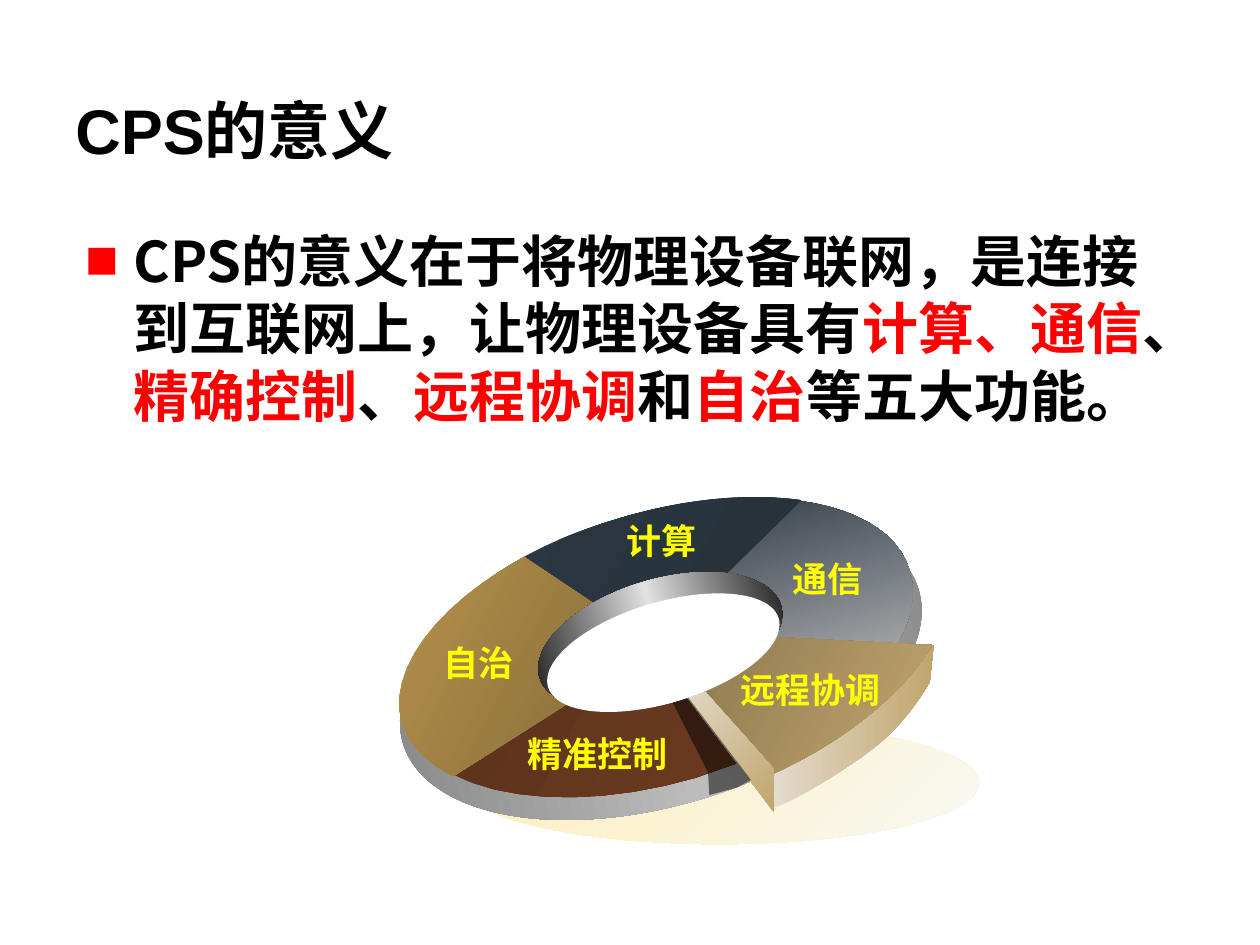
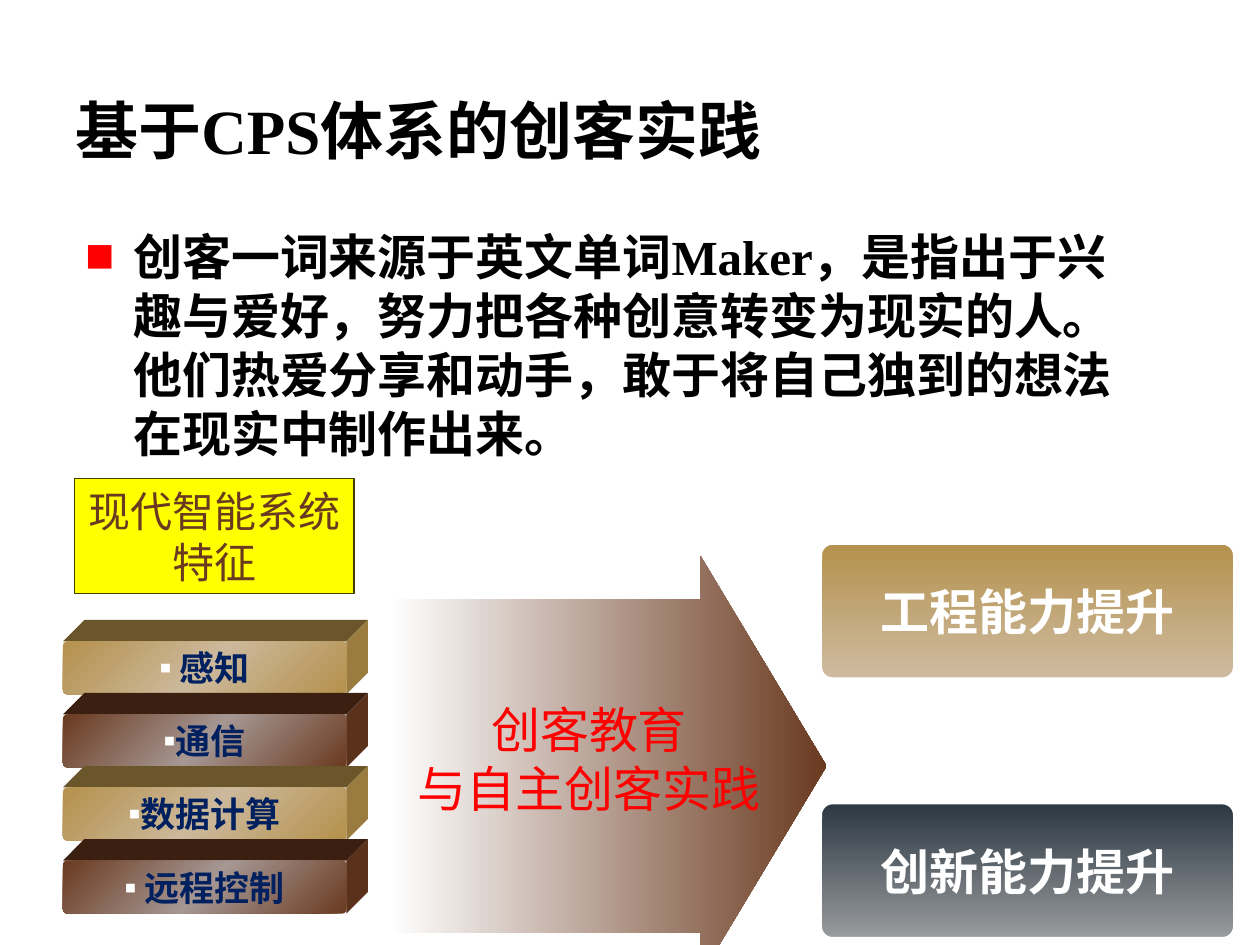
from dataclasses import dataclass
from typing import NamedTuple

from lxml import etree
from pptx import Presentation
from pptx.dml.color import RGBColor
from pptx.enum.shapes import MSO_SHAPE
from pptx.enum.text import MSO_ANCHOR, PP_ALIGN
from pptx.oxml.ns import nsdecls, qn
from pptx.oxml import parse_xml
from pptx.util import Inches, Pt

OVAL = MSO_SHAPE.OVAL
RECTANGLE = MSO_SHAPE.RECTANGLE
ROUNDED = MSO_SHAPE.ROUNDED_RECTANGLE
ARROW = MSO_SHAPE.RIGHT_ARROW
LEFT, CENTER = PP_ALIGN.LEFT, PP_ALIGN.CENTER
TOP, MIDDLE = MSO_ANCHOR.TOP, MSO_ANCHOR.MIDDLE

CJK_FONT = "Noto Sans CJK SC"
TITLE_AREA = (0.5, 0.5, 9, 1.05)
BODY_AREA = (0.58, 1.75, 8.67, 4.95)
RING_TILT = -16.6
LINE_RATIO = 1.2
CURVE_STEPS = 12

COLORS = {
    "black": "000000", "white": "FFFFFF", "red": "FF0000", "yellow": "FFFF00",
    "navy": "002060", "olive": "404000", "gold": "B4914C", "gold_pale": "CCB89B",
    "gold_soft": "CEBBA1", "gold_deep": "816836", "gold_top": "6B562B",
    "gold_side": "9A7C41", "brown": "6A3A20", "brown_pale": "A69793",
    "brown_deep": "5B321B", "brown_top": "3B2012", "brown_side": "5A311B",
    "slate": "2B3742", "slate_deep": "253039", "slate_pale": "A7A8AA",
    "slate_soft": "9A9C9E", "gray": "808080", "silver": "BCBCBC",
    "shine": "E2E2E2", "blue": "2791BB", "cream": "FFEDB9", "mist": "F7F9F2",
    "sand": "E5DCCE", "tan": "C1A56D", "tan_deep": "8A764E",
}

Area = tuple[float, float, float, float]
Point = tuple[float, float]


class Paint(NamedTuple):
    colors: tuple[str, ...]
    angle: float = 0
    alpha: int = 100


class Bullet(NamedTuple):
    mark: str
    color: str
    font: str
    percent: int = 100
    indent: float = 0


@dataclass
class Disc:
    area: Area
    paint: Paint
    rotation: float = RING_TILT


@dataclass
class Outline:
    paint: Paint
    corners: list[Point]
    curve: list[Point]


@dataclass
class Label:
    text: str
    area: Area


@dataclass
class Slab:
    text: str
    tone: str


@dataclass
class Goal:
    text: str
    top: float
    paint: Paint


BODY_BULLET = Bullet("■", "red", CJK_FONT, 60, 0.38)
SLAB_BULLET = Bullet("▪", "white", "Arial")

MEANING = [
    ("CPS的意义在于将物理设备联网，是连接到互联网上，让物理设备具有", "black"),
    ("计算、通信", "red"), ("、", "black"), ("精确控制", "red"), ("、", "black"),
    ("远程协调", "red"), ("和", "black"), ("自治", "red"), ("等五大功能。", "black"),
]
MAKER = (
    "创客一词来源于英文单词Maker，是指出于兴趣与爱好，努力把各种创意转变为现实的人。"
    "他们热爱分享和动手，敢于将自己独到的想法在现实中制作出来。"
)

RING_BASE = [
    Disc((3.65, 5.73, 4.12, 0.97), Paint(("cream", "mist"), 45), 0),
    Disc((3.11, 4.19, 4.27, 2.2), Paint(("gray", "silver", "gray"))),
    Disc((3.16, 4.07, 4.12, 2.13), Paint(("blue", "black"), 45)),
]
RING_INNER = Disc((4.24, 4.6, 2, 0.98), Paint(("black", "shine", "black")))
RING_HOLE = Disc((4.31, 4.78, 1.91, 0.8), Paint(("white",)))
RING_PARTS = [
    Outline(Paint(("slate", "slate_pale"), 73), [(5.2, 5.13)],
            [(6.2, 3.96), (6.75, 4), (7.13, 4.21), (7.22, 4.53),
             (7.28, 4.73), (7.23, 4.96), (7.06, 5.2)]),
    Outline(Paint(("brown_deep", "brown"), 28), [(5.22, 5.14)],
            [(3.27, 5.85), (3.54, 6.33), (4.51, 6.47), (5.53, 6.17),
             (5.64, 6.13), (5.76, 6.09), (5.87, 6.05)]),
    Outline(Paint(("slate", "slate_deep"), 28), [(5.2, 5.11)],
            [(4.02, 4.5), (4.28, 4.34), (4.58, 4.21), (4.9, 4.12),
             (5.41, 3.96), (5.93, 3.91), (6.36, 3.97)]),
    Outline(Paint(("gold", "gold_deep"), 28), [(5.22, 5.13)],
            [(4.16, 4.42), (3.45, 4.81), (3.07, 5.33), (3.19, 5.74),
             (3.25, 5.91), (3.39, 6.06), (3.6, 6.16)]),
    Outline(Paint(("sand", "tan")), [(6.12, 6.15), (7.41, 5.12)],
            [(7.38, 5.41), (7.3, 5.55), (7.15, 5.77), (6.94, 5.93),
             (6.73, 6.1), (6.27, 6.38), (6.13, 6.41),
             (6.11, 6.32), (6.12, 6.15), (6.12, 6.15)]),
    Outline(Paint(("tan_deep", "tan"), 28), [(5.25, 5.01)],
            [(7.4, 5.12), (7.15, 5.53), (6.66, 5.92), (6.05, 6.18)]),
]
CUT_FACE = [(6.14, 6.1), (6.14, 6.44), (5.38, 5.44), (5.49, 5.37)]
CUT_SHADOW = [(5.32, 5.54), (5.62, 6.13), (5.63, 6.31), (5.85, 6.25),
              (5.96, 6.19), (5.45, 5.52)]
RING_LABELS = [
    Label("自治", (3.42, 5.04, 0.76, 0.44)),
    Label("计算", (4.87, 4.07, 0.76, 0.44)),
    Label("通信", (6.19, 4.37, 0.76, 0.44)),
    Label("远程协调", (5.77, 5.25, 1.32, 0.44)),
    Label("精准控制", (4.08, 5.76, 1.32, 0.44)),
]

SLABS = [Slab(" 感知", "gold"), Slab("通信", "brown"),
         Slab("数据计算", "gold"), Slab(" 远程控制", "brown")]
SLAB_LEFT, SLAB_TOP, SLAB_PITCH = 0.5, 5.09, 0.58
SLAB_WIDTH, SLAB_HEIGHT, SLAB_DEPTH = 2.25, 0.42, 0.17
GOALS = [
    Goal("工程能力提升", 4.31, Paint(("gold", "gold_soft"), 90)),
    Goal("创新能力提升", 6.37, Paint(("slate", "slate_soft"), 90)),
]


def rgb(name: str) -> RGBColor:
    return RGBColor.from_string(COLORS[name])


def color_xml(name: str, alpha: int) -> str:
    return f'<a:srgbClr val="{COLORS[name]}"><a:alpha val="{alpha * 1000}"/></a:srgbClr>'


def apply_paint(shape, paint: Paint) -> None:
    colors = [color_xml(name, paint.alpha) for name in paint.colors]
    if len(colors) == 1:
        xml = f'<a:solidFill {nsdecls("a")}>{colors[0]}</a:solidFill>'
    else:
        step = 100000 // (len(colors) - 1)
        stops = "".join(f'<a:gs pos="{index * step}">{color}</a:gs>'
                        for index, color in enumerate(colors))
        xml = (f'<a:gradFill {nsdecls("a")} rotWithShape="1"><a:gsLst>{stops}</a:gsLst>'
               f'<a:lin ang="{round(paint.angle * 60000)}" scaled="0"/></a:gradFill>')
    shape.fill.background()
    properties = shape._element.spPr
    properties.replace(properties.find(qn("a:noFill")), parse_xml(xml))
    shape.line.fill.background()
    shape.shadow.inherit = False


def add_preset(page, kind, area: Area, paint: Paint, rotation: float = 0, adjustments=()):
    shape = page.shapes.add_shape(kind, *map(Inches, area))
    shape.rotation = rotation
    for index, value in enumerate(adjustments):
        shape.adjustments[index] = value
    apply_paint(shape, paint)
    return shape


def add_disc(page, disc: Disc) -> None:
    add_preset(page, OVAL, disc.area, disc.paint, disc.rotation)


def add_polygon(page, points: list[Point], paint: Paint) -> None:
    corners = [(Inches(x), Inches(y)) for x, y in points]
    builder = page.shapes.build_freeform(*corners[0])
    builder.add_line_segments(corners[1:], close=True)
    apply_paint(builder.convert_to_shape(), paint)


def sample_curve(points: list[Point]) -> list[Point]:
    sampled = [points[0]]
    for first in range(0, len(points) - 1, 3):
        controls = points[first:first + 4]
        for step in range(1, CURVE_STEPS + 1):
            t = step / CURVE_STEPS
            weights = ((1 - t) ** 3, 3 * t * (1 - t) ** 2, 3 * t * t * (1 - t), t ** 3)
            sampled.append(tuple(sum(weight * point[axis]
                                     for weight, point in zip(weights, controls))
                                 for axis in (0, 1)))
    return sampled


def set_bullet(para, bullet: Bullet) -> None:
    properties = para._p.get_or_add_pPr()
    properties.set("marL", str(Inches(bullet.indent)))
    properties.set("indent", str(-Inches(bullet.indent)))
    color = etree.SubElement(properties, qn("a:buClr"))
    etree.SubElement(color, qn("a:srgbClr"), val=COLORS[bullet.color])
    etree.SubElement(properties, qn("a:buSzPct"), val=str(bullet.percent * 1000))
    etree.SubElement(properties, qn("a:buFont"), typeface=bullet.font)
    etree.SubElement(properties, qn("a:buChar"), char=bullet.mark)


def write_text(shape, text, *, size: int, font: str, color: str = "black",
               bold: bool = False, align=CENTER, anchor=MIDDLE,
               wrap: bool = False, bullet: Bullet | None = None) -> None:
    frame = shape.text_frame
    frame.word_wrap = wrap
    frame.vertical_anchor = anchor
    lines = [[(line, color)] for line in text.split("\n")] if isinstance(text, str) else [text]
    for index, spans in enumerate(lines):
        para = frame.add_paragraph() if index else frame.paragraphs[0]
        para.alignment = align
        para.line_spacing = Pt(size * LINE_RATIO)
        if bullet:
            set_bullet(para, bullet)
        for words, tint in spans:
            span = para.add_run()
            span.text = words
            span.font.size = Pt(size)
            span.font.bold = bold
            span.font.name = font
            span.font.color.rgb = rgb(tint)
            etree.SubElement(span._r.get_or_add_rPr(), qn("a:ea"), typeface=CJK_FONT)


def add_text(page, text, area: Area, **style) -> None:
    write_text(page.shapes.add_textbox(*map(Inches, area)), text, **style)


def add_page(deck, title: str, title_font: str, body, body_font: str, body_size: int):
    page = deck.slides.add_slide(deck.slide_layouts[6])
    add_text(page, title, TITLE_AREA, size=36, font=title_font, bold=True,
             align=LEFT, wrap=True)
    add_text(page, body, BODY_AREA, size=body_size, font=body_font, bold=True,
             align=LEFT, anchor=TOP, wrap=True, bullet=BODY_BULLET)
    return page


def add_ring(page) -> None:
    for disc in RING_BASE:
        add_disc(page, disc)
    for part in RING_PARTS:
        add_polygon(page, part.corners + sample_curve(part.curve), part.paint)
    add_polygon(page, CUT_FACE, Paint(("sand", "tan"), 45))
    add_disc(page, RING_INNER)
    add_polygon(page, CUT_SHADOW, Paint(("black",), alpha=50))
    add_disc(page, RING_HOLE)
    for label in RING_LABELS:
        add_text(page, label.text, label.area, size=20, font="DejaVu Sans",
                 color="yellow", bold=True)


def add_slab(page, slab: Slab, top: float) -> None:
    right, bottom = SLAB_LEFT + SLAB_WIDTH, top + SLAB_HEIGHT
    back, lift = right + SLAB_DEPTH, top - SLAB_DEPTH
    add_polygon(page, [(SLAB_LEFT, top), (SLAB_LEFT + SLAB_DEPTH, lift),
                       (back, lift), (right, top)], Paint((f"{slab.tone}_top",)))
    add_polygon(page, [(right, top), (back, lift), (back, bottom - SLAB_DEPTH),
                       (right, bottom)], Paint((f"{slab.tone}_side",)))
    front = add_preset(page, ROUNDED, (SLAB_LEFT, top, SLAB_WIDTH, SLAB_HEIGHT),
                       Paint((slab.tone, f"{slab.tone}_pale", slab.tone), 45),
                       adjustments=(0.08,))
    write_text(front, slab.text, size=20, font="Cambria", color="navy", bold=True,
               bullet=SLAB_BULLET)


def set_border(shape, color: str, width: float) -> None:
    shape.line.color.rgb = rgb(color)
    shape.line.width = Pt(width)


def add_maker_flow(page) -> None:
    for index, slab in enumerate(SLABS):
        add_slab(page, slab, SLAB_TOP + index * SLAB_PITCH)
    heading = add_preset(page, RECTANGLE, (0.59, 3.8, 2.22, 0.91), Paint(("yellow",)))
    set_border(heading, "olive", 0.75)
    write_text(heading, "现代智能系统\n特征", size=24, font="Cambria", color="brown")
    add_preset(page, ARROW, (3.1, 4.41, 3.46, 3.34), Paint(("white", "brown")),
               adjustments=(0.79, 0.3))
    for goal in GOALS:
        card = add_preset(page, ROUNDED, (6.51, goal.top, 3.29, 1.08), goal.paint,
                          adjustments=(0.09,))
        set_border(card, "white", 2)
        write_text(card, goal.text, size=28, font="Cambria", color="white", bold=True)
    add_text(page, "创客教育\n与自主创客实践", (3.2, 5.5, 2.95, 1.04),
             size=28, font="Cambria", color="red")


def main() -> None:
    deck = Presentation()
    deck.slide_width, deck.slide_height = Inches(10), Inches(7.5)
    add_ring(add_page(deck, "CPS的意义", "Arial", MEANING, CJK_FONT, 32))
    add_maker_flow(add_page(deck, "基于CPS体系的创客实践", "Times New Roman",
                            MAKER, "Times New Roman", 28))
    deck.save("out.pptx")


if __name__ == "__main__":
    main()
